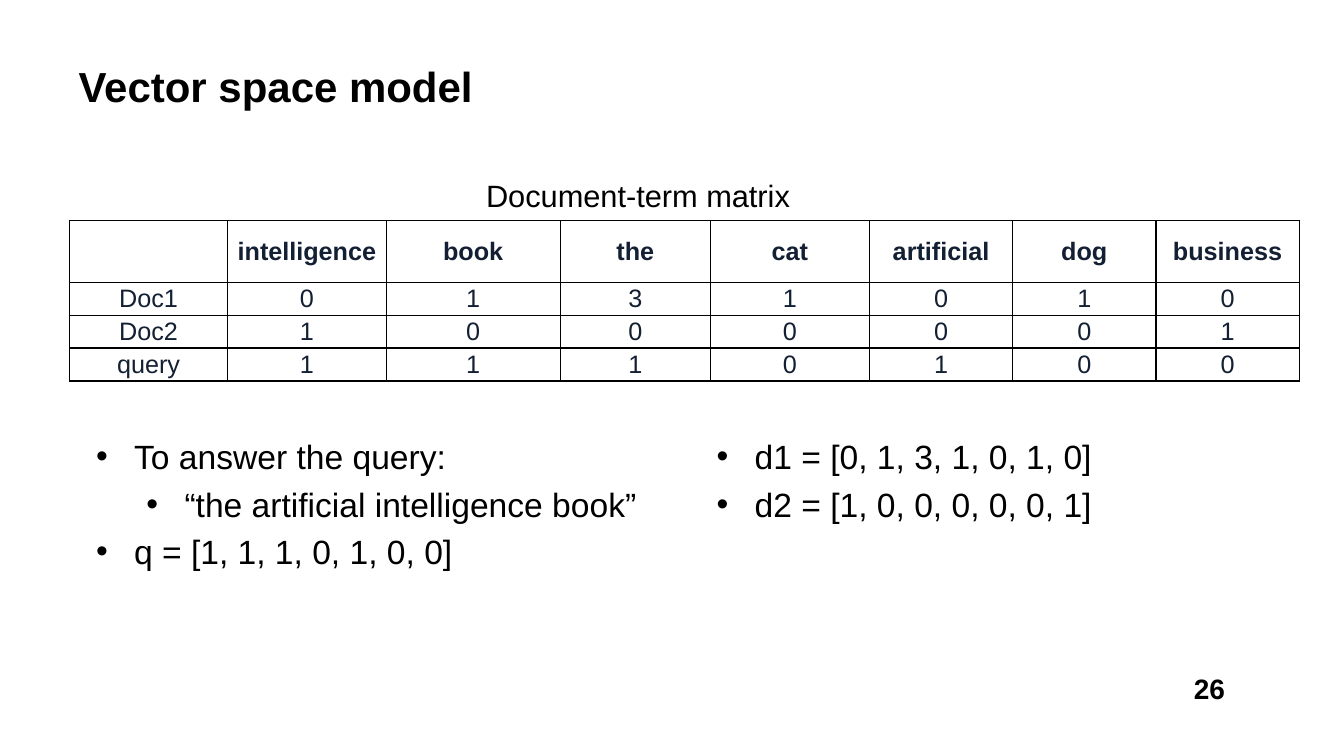
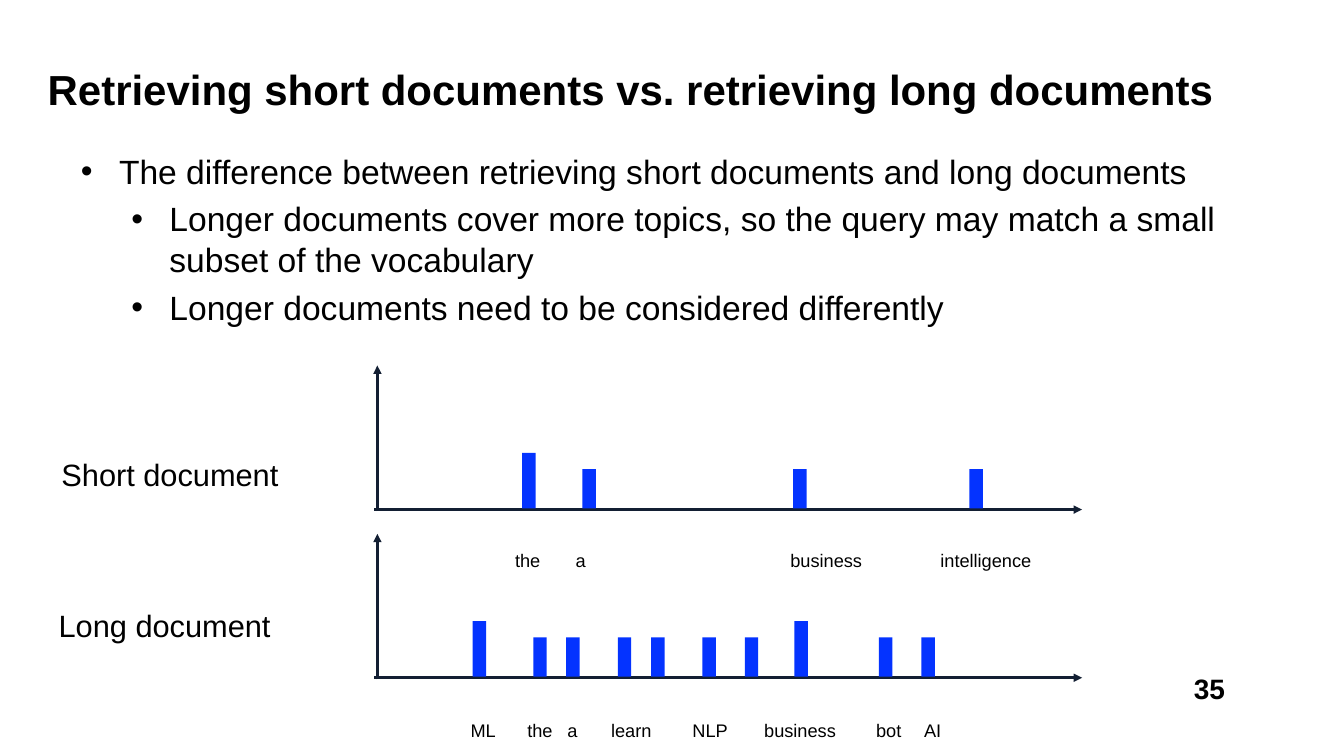
"""Build two lecture slides on the vector space model and document length."""
from lxml.etree import SubElement
from pptx import Presentation
from pptx.dml.color import RGBColor
from pptx.enum.shapes import MSO_CONNECTOR, MSO_SHAPE
from pptx.enum.text import MSO_ANCHOR as Anchor, MSO_AUTO_SIZE as AutoSize, PP_ALIGN as Align
from pptx.oxml.ns import qn
from pptx.util import Cm, Pt

COLORS = {"text": "000000", "ink": "131F33", "bar": "0433FF", "paper": "FFFFFF"}
RGB = {role: RGBColor.from_string(value) for role, value in COLORS.items()}
FONT = "Arial"


def set_font(paragraph, size, color="text", bold=False):
    """Apply the shared typeface to a paragraph."""
    font = paragraph.font
    font.name, font.size, font.bold = FONT, Pt(size), bold
    font.color.rgb = RGB[color]


def put_text(box, place, lines, size, spacing=None, bold=False, align=Align.LEFT,
             wrap=True, inset=0.13, bullets=False):
    """Place a text shape and write its (level, text) lines."""
    box.left, box.top, box.width, box.height = map(Cm, place)
    frame = box.text_frame
    frame.auto_size, frame.word_wrap = AutoSize.NONE, wrap
    frame.vertical_anchor = Anchor.TOP
    frame.margin_left = frame.margin_right = Cm(inset)
    frame.margin_top = frame.margin_bottom = Cm(inset)
    for i, (level, text) in enumerate(lines):
        paragraph = frame.add_paragraph() if i else frame.paragraphs[0]
        paragraph.text = text
        paragraph.level, paragraph.alignment = level, align
        if bullets:
            properties = paragraph._p.get_or_add_pPr()
            properties.set("marL", str(Cm(0.96 + 1.27 * level)))
            properties.set("indent", str(-Cm(0.96)))
            SubElement(properties, qn("a:buChar"), char="•")
        paragraph.space_before = Pt(5 if i else 0)
        if spacing:
            paragraph.line_spacing = Pt(spacing)
        set_font(paragraph, size, bold=bold)


prs = Presentation()
prs.slide_width, prs.slide_height = Cm(33.87), Cm(19.05)

pages = [
    (3, "Vector space model", (1.85, 1.4, 29.31, 1.83), "26",
     [((2.29, 10.85, 15.52, 5.03),
       [(0, "To answer the query:"),
        (1, "“the artificial intelligence book”"),
        (0, "q = [1, 1, 1, 0, 1, 0, 0]")]),
      ((17.93, 10.85, 15.52, 5.03),
       [(0, "d1 = [0, 1, 3, 1, 0, 1, 0]"),
        (0, "d2 = [1, 0, 0, 0, 0, 0, 1]")])]),
    (1, "Retrieving short documents vs. retrieving long documents",
     (1.07, 1.47, 30.45, 2.06), "35",
     [((1.91, 3.66, 30.45, 4.65),
       [(0, "The difference between retrieving short documents and long documents"),
        (1, "Longer documents cover more topics, so the query may match a small "
            "subset of the vocabulary"),
        (1, "Longer documents need to be considered differently")])]),
]
slides = []
for layout, title, title_place, number, lists in pages:
    slide = prs.slides.add_slide(prs.slide_layouts[layout])
    slides.append(slide)
    put_text(slide.shapes.title, title_place, [(0, title)], 30, 36, bold=True)
    for body, (place, lines) in zip(list(slide.placeholders)[1:], lists):
        put_text(body, place, lines, 24, 29, bullets=True)
    put_text(slide.shapes.add_textbox(0, 0, 0, 0), (29.97, 16.81, 1.02, 0.99),
             [(0, number)], 20, bold=True, align=Align.CENTER, wrap=False, inset=0.1)

matrix_slide, length_slide = slides

put_text(matrix_slide.shapes.add_textbox(0, 0, 0, 0), (12.12, 3.84, 7.98, 1.14),
         [(0, "Document-term matrix")], 22, 40, wrap=False)

matrix = [
    ["", "intelligence", "book", "the", "cat", "artificial", "dog", "business"],
    ["Doc1", 0, 1, 3, 1, 0, 1, 0],
    ["Doc2", 1, 0, 0, 0, 0, 0, 1],
    ["query", 1, 1, 1, 0, 1, 0, 0],
]
column_widths = [3.99, 3.99, 4.39, 3.78, 4.01, 3.61, 3.61, 3.61]
row_heights = [1.55, 0.83, 0.83, 0.83]
table = matrix_slide.shapes.add_table(
    len(matrix), len(matrix[0]), Cm(1.75), Cm(5.56),
    Cm(sum(column_widths)), Cm(sum(row_heights))).table
for column, width in zip(table.columns, column_widths):
    column.width = Cm(width)
for r, (terms, height) in enumerate(zip(matrix, row_heights)):
    table.rows[r].height = Cm(height)
    for c, term in enumerate(terms):
        cell = table.cell(r, c)
        cell.margin_left = cell.margin_right = cell.margin_top = cell.margin_bottom = 0
        cell.vertical_anchor = Anchor.MIDDLE
        for side in ("lnL", "lnR", "lnT", "lnB"):
            border = SubElement(cell._tc.get_or_add_tcPr(), qn(f"a:{side}"), w=str(Pt(1)))
            SubElement(SubElement(border, qn("a:solidFill")), qn("a:srgbClr"),
                       val=COLORS["text"])
        cell.fill.solid()
        cell.fill.fore_color.rgb = RGB["paper"]
        paragraph = cell.text_frame.paragraphs[0]
        paragraph.text = str(term)
        paragraph.alignment = Align.CENTER
        set_font(paragraph, 18, "ink", bold=r == 0)

LOW, HIGH = 0.99, 1.4
BAR_WIDTH = 0.34
AXIS_X = 9.51
histograms = [
    ("Short document", (1.42, 10.87, 5.77, 1.14), 12.84,
     [(13.16, HIGH), (14.68, LOW), (19.99, LOW), (24.43, LOW)],
     13.23, [("the", 12.85, 0.91), ("a", 14.38, 0.53), ("business", 19.79, 2.11),
             ("intelligence", 23.57, 2.59)]),
    ("Long document", (1.35, 14.68, 5.64, 1.14), 17.08,
     [(11.91, HIGH), (13.44, LOW), (14.27, LOW), (15.57, LOW), (16.41, LOW),
      (17.7, LOW), (18.77, LOW), (20.02, HIGH), (22.15, LOW), (23.22, LOW)],
     17.53, [("ML", 11.73, 0.91), ("the", 13.16, 0.91), ("a", 14.17, 0.53),
             ("learn", 15.27, 1.32), ("NLP", 17.32, 1.19), ("business", 19.13, 2.11),
             ("bot", 21.95, 0.91), ("AI", 23.16, 0.71)]),
]
shapes = length_slide.shapes
for name, name_place, axis_y, bars, words_top, words in histograms:
    for ends in ((AXIS_X - 0.08, axis_y, 27.27, axis_y),
                 (AXIS_X, axis_y + 0.04, AXIS_X, axis_y - 3.63)):
        axis = shapes.add_connector(MSO_CONNECTOR.STRAIGHT, *map(Cm, ends))
        axis.line.color.rgb = RGB["ink"]
        axis.line.width = Pt(2)
        SubElement(axis.line._get_or_add_ln(), qn("a:tailEnd"), type="triangle")
        SubElement(axis._element.spPr, qn("a:effectLst"))
    for left, height in bars:
        bar = shapes.add_shape(MSO_SHAPE.RECTANGLE, Cm(left), Cm(axis_y - 0.03 - height),
                               Cm(BAR_WIDTH), Cm(height))
        bar.shadow.inherit = False
        bar.fill.solid()
        bar.fill.fore_color.rgb = RGB["bar"]
        bar.line.fill.background()
    put_text(shapes.add_textbox(0, 0, 0, 0), name_place, [(0, name)], 22, 40, wrap=False)
    for word, left, width in words:
        put_text(shapes.add_textbox(0, 0, 0, 0), (left, words_top, width, 0.76),
                 [(0, word)], 13, 29, wrap=False)

prs.save("out.pptx")
